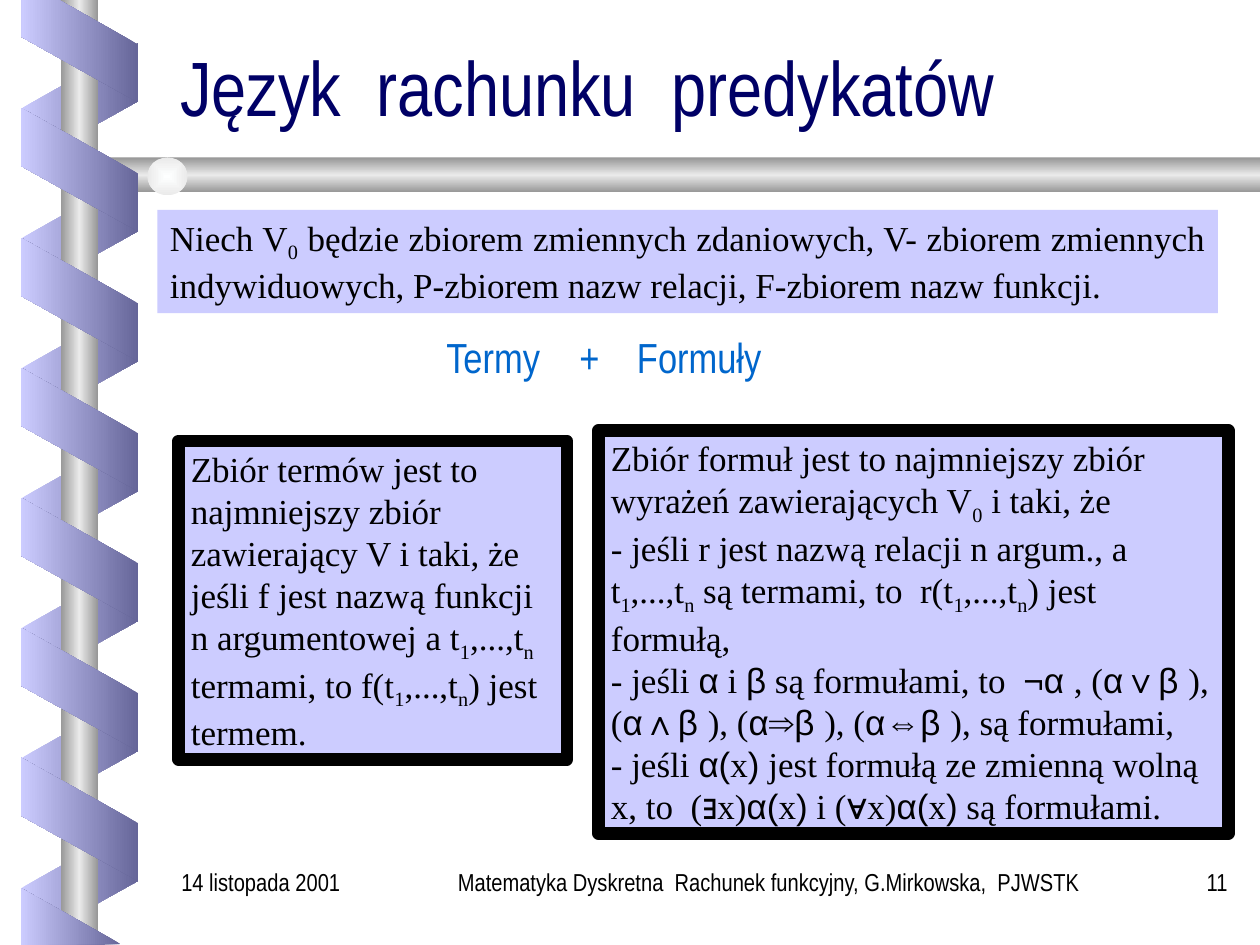
from lxml.etree import SubElement
from pptx import Presentation
from pptx.dml.color import RGBColor
from pptx.enum.shapes import MSO_SHAPE
from pptx.enum.text import MSO_ANCHOR, MSO_AUTO_SIZE, PP_ALIGN
from pptx.oxml.ns import qn
from pptx.util import Pt

NAVY = RGBColor(0x00, 0x00, 0x66)
BLUE = RGBColor(0x00, 0x66, 0xCC)
BLACK = RGBColor(0x00, 0x00, 0x00)
LILAC = RGBColor(0xCC, 0xCC, 0xFF)
VIOLET = RGBColor(0x66, 0x66, 0x99)
STEEL = RGBColor(0x96, 0x96, 0x96)
SILVER = RGBColor(0xEA, 0xEA, 0xEA)
PEARL = RGBColor(0xFE, 0xFF, 0xFF)

SERIF, SANS, NARROW = "Times New Roman", "Arial", "Arial Narrow"
BAND_STEP = 74.25
TUBE = (STEEL, SILVER, STEEL)
RIBBON = (VIOLET, LILAC)


def sub(text):
    return text, "sub"


def sym(text):
    return text, "sym"


ALPHA_OF_X = [sym("α("), "x", sym(")")]
ARGUMENTS = ["t", sub("1"), ",...,t", sub("n")]

ASSUMPTION = [["Niech V", sub("0"),
               " będzie zbiorem zmiennych zdaniowych, V- zbiorem zmiennych "
               "indywiduowych, P-zbiorem nazw relacji, F-zbiorem nazw funkcji. "]]
TERMS = [["Zbiór termów jest to najmniejszy zbiór zawierający V i taki, że "
          "jeśli f jest nazwą funkcji n argumentowej a ", *ARGUMENTS,
          " termami, to f(", *ARGUMENTS, ") jest termem."]]
FORMULAS = [
    ["Zbiór formuł jest to najmniejszy zbiór wyrażeń zawierających V",
     sub("0"), " i taki, że"],
    ["- jeśli r jest nazwą relacji n argum., a ", *ARGUMENTS,
     " są termami, to  r(", *ARGUMENTS, ") jest  formułą,"],
    ["- jeśli ", sym("α"), " i ", sym("β"), " są formułami, to  ", sym("¬α "),
     ", (", sym("α∨β "), "), (", sym("α∧β "), "), (", sym("α⇒β "),
     "), (", sym("α⇔β "), "), są formułami,"],
    ["- jeśli ", *ALPHA_OF_X, " jest formułą ze zmienną wolną x, to  (",
     sym("∃"), "x)", *ALPHA_OF_X, " i (", sym("∀"), "x)", *ALPHA_OF_X,
     " są formułami."],
]


def set_gradient(shape, colors, angle=None):
    """Spread colors evenly along an angle, or outwards from the corners."""
    shape.shadow.inherit = False
    shape.line.fill.background()
    shape.fill.gradient()
    grad = shape._element.spPr.find(qn("a:gradFill"))
    for child in list(grad):
        grad.remove(child)
    grad.set("rotWithShape", "0")
    stops = SubElement(grad, qn("a:gsLst"))
    for index, color in enumerate(colors):
        position = 100000 * index // (len(colors) - 1)
        stop = SubElement(stops, qn("a:gs"), pos=str(position))
        SubElement(stop, qn("a:srgbClr"), val=str(color))
    if angle is None:
        center = SubElement(grad, qn("a:path"), path="rect")
        SubElement(center, qn("a:fillToRect"),
                   dict.fromkeys("ltrb", "50000"))
    else:
        SubElement(grad, qn("a:lin"), ang=str(angle * 60000), scaled="0")


def add_preset(page, kind, left, top, width, height):
    return page.shapes.add_shape(kind, Pt(left), Pt(top), Pt(width), Pt(height))


def add_bands(page, first_top, rotation, colors, count, flip=False):
    for index in range(count):
        band = add_preset(page, MSO_SHAPE.PARALLELOGRAM,
                          10.1, first_top + index * BAND_STEP, 70.6, 67)
        band.adjustments[0] = 0.56
        band.rotation = rotation
        if flip:
            band._element.spPr.xfrm.set("flipH", "1")
        set_gradient(band, colors, 180)


def add_outline(page, points, colors, angle):
    start, *rest = [(Pt(x), Pt(y)) for x, y in points]
    builder = page.shapes.build_freeform(*start)
    builder.add_line_segments(rest, close=True)
    set_gradient(builder.convert_to_shape(), colors, angle)


def fill_text(shape, paragraphs, size, font, color, align=PP_ALIGN.LEFT):
    frame = shape.text_frame
    frame.word_wrap = True
    frame.vertical_anchor = MSO_ANCHOR.TOP
    for index, runs in enumerate(paragraphs):
        para = frame.paragraphs[0] if index == 0 else frame.add_paragraph()
        para.alignment = align
        for item in runs:
            text, style = (item, None) if isinstance(item, str) else item
            span = para.add_run()
            span.text = text
            span.font.size = Pt(size)
            span.font.name = SANS if style == "sym" else font
            span.font.color.rgb = color
            if style == "sub":
                span._r.get_or_add_rPr().set("baseline", "-25000")
    return frame


def add_label(page, area, text, size, color, align=PP_ALIGN.LEFT):
    box = page.shapes.add_textbox(*map(Pt, area))
    return fill_text(box, [[text]], size, NARROW, color, align)


def add_panel(page, area, paragraphs, border=0, align=PP_ALIGN.LEFT):
    panel = add_preset(page, MSO_SHAPE.RECTANGLE, *area)
    panel.shadow.inherit = False
    panel.fill.solid()
    panel.fill.fore_color.rgb = LILAC
    if border:
        panel.line.color.rgb = BLACK
        panel.line.width = Pt(border)
    else:
        panel.line.fill.background()
    frame = fill_text(panel, paragraphs, 20, SERIF, BLACK, align)
    frame.auto_size = MSO_AUTO_SIZE.SHAPE_TO_FIT_TEXT


def set_tabs(para, positions):
    tabs = SubElement(para._p.get_or_add_pPr(), qn("a:tabLst"))
    for position in positions:
        SubElement(tabs, qn("a:tab"), pos=str(Pt(position)), algn="l")


def add_decoration(page):
    # Ribbon behind the pole, then pole, bar and bead
    add_bands(page, 26.5, 90, RIBBON[::-1], 7, flip=True)
    pole = add_preset(page, MSO_SHAPE.RECTANGLE, 34.6, 0, 21.6, 540)
    set_gradient(pole, TUBE, 180)
    add_outline(page, [(720, 90), (54.7, 90), (43.2, 100), (54.7, 110),
                       (720, 110)], TUBE, 90)
    bead = add_preset(page, MSO_SHAPE.OVAL, 84.2, 90, 23, 21.6)
    set_gradient(bead, (PEARL, SILVER))
    # Ribbon in front, with its cut ends
    add_bands(page, 63.4, 270, RIBBON, 6)
    add_outline(page, [(12.2, 0), (12.2, 21), (78.5, 58.3), (78.5, 25.2),
                       (33.8, 0)], RIBBON, 180)
    add_outline(page, [(69, 539.5), (12.2, 507.6), (11.8, 540)], RIBBON, 180)


def main():
    deck = Presentation()
    deck.slide_width, deck.slide_height = Pt(720), Pt(540)
    page = deck.slides.add_slide(deck.slide_layouts[6])
    add_decoration(page)

    # Title
    title = add_label(page, (95.8, 33.1, 612, 45.4),
                      "Język  rachunku  predykatów", 44, NAVY)
    title.vertical_anchor = MSO_ANCHOR.BOTTOM
    title.paragraphs[0].line_spacing = 0.8

    # Definitions
    add_panel(page, (90, 120, 606, 59), ASSUMPTION, align=PP_ALIGN.JUSTIFY)
    add_panel(page, (102, 252, 222, 182), TERMS, border=7)
    heading = add_label(page, (210, 186, 270, 44.6), "Termy\t+\tFormuły",
                        24, BLUE)
    heading.margin_left = Pt(45)
    set_tabs(heading.paragraphs[0], (76, 109))
    add_panel(page, (342, 246, 360, 230.4), FORMULAS, border=7)

    # Footer
    add_label(page, (240, 492, 402, 36),
              "Matematyka Dyskretna  Rachunek funkcyjny, G.Mirkowska,  PJWSTK ",
              14, BLACK, PP_ALIGN.CENTER)
    add_label(page, (648, 492, 60.5, 36), "11", 14, BLACK, PP_ALIGN.RIGHT)
    add_label(page, (96.5, 492, 137.5, 36), "14 listopada 2001", 14, BLACK)

    deck.save("out.pptx")


if __name__ == "__main__":
    main()
